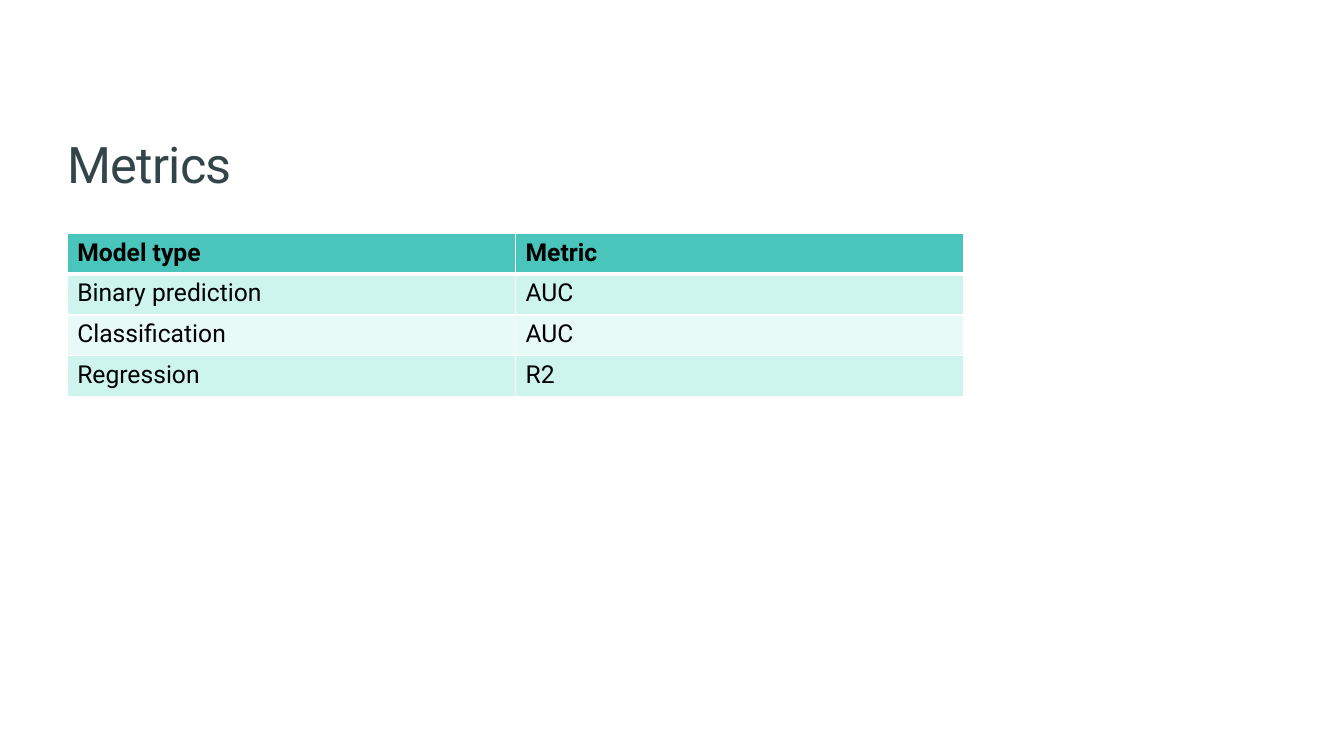
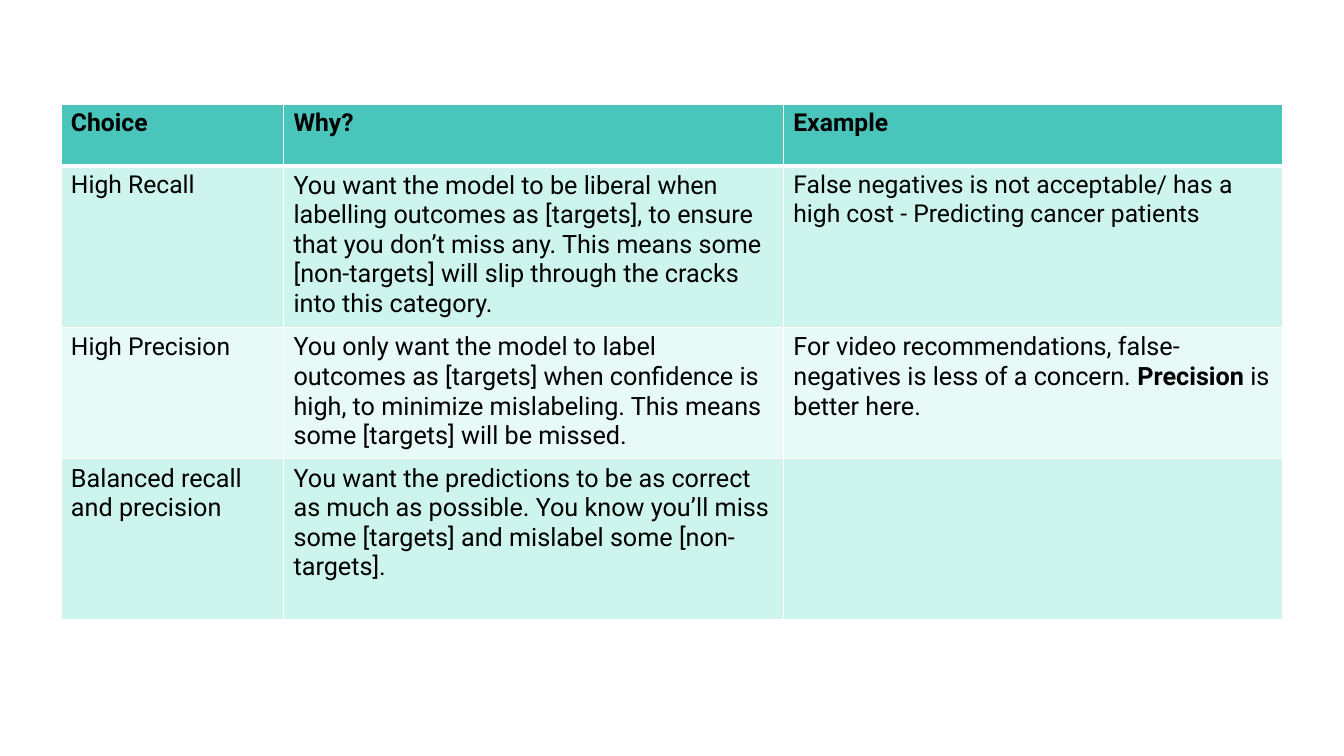
from lxml import etree
from pptx import Presentation
from pptx.dml.color import RGBColor
from pptx.enum.text import MSO_ANCHOR, MSO_AUTO_SIZE, PP_ALIGN
from pptx.oxml.ns import qn
from pptx.util import Pt

LEFT, BOTTOM = PP_ALIGN.LEFT, MSO_ANCHOR.BOTTOM
GROW = MSO_AUTO_SIZE.SHAPE_TO_FIT_TEXT
TITLE_ONLY, BLANK = 5, 6
EMU_PER_PX = 9525


def px(length):
    """Turn whole pixels into EMU."""
    return length * EMU_PER_PX


def apply_format(target, values):
    """Set each attribute named in values on target."""
    for name, value in values.items():
        setattr(target, name, value)


class Deck:
    """Holds the shared style and the current slide."""

    COLORS = {
        "title": "324649",
        "text": "000000",
        "header": "4AC5BB",
        "odd_row": "CDF5EE",
        "even_row": "E8FAF7",
        "rule": "FFFFFF",
    }
    TITLE_FONT = {"name": "Roboto", "size": Pt(36), "bold": False}
    CELL_FONT = {"name": "Roboto", "size": Pt(17.6), "bold": False}
    TITLE_FRAME = {
        "margin_left": 0, "margin_top": 0, "margin_right": 0, "margin_bottom": 0,
        "vertical_anchor": BOTTOM, "word_wrap": True, "auto_size": GROW,
    }
    TITLE_PARAGRAPH = {"alignment": LEFT, "line_spacing": 0.9}

    def __init__(self):
        """Open an empty presentation."""
        self.presentation = Presentation()
        apply_format(self.presentation,
                     {"slide_width": px(1280), "slide_height": px(720)})
        self.slide = None

    def add_slide(self, layout):
        """Start a new slide."""
        layouts = self.presentation.slide_layouts
        self.slide = self.presentation.slides.add_slide(layouts[layout])

    def color(self, name):
        """Look up a named colour."""
        return RGBColor.from_string(self.COLORS[name])

    def styled_run(self, paragraph, text, font, color):
        """Append a formatted run to a paragraph."""
        run = paragraph.add_run()
        run.text = text
        apply_format(run.font, font)
        run.font.color.rgb = self.color(color)
        return run

    def title(self, text, left, top, width, height):
        """Place and fill the title placeholder."""
        heading = self.slide.shapes.title
        apply_format(heading, {"left": px(left), "top": px(top),
                               "width": px(width), "height": px(height)})
        apply_format(heading.text_frame, self.TITLE_FRAME)
        paragraph = heading.text_frame.paragraphs[0]
        apply_format(paragraph, self.TITLE_PARAGRAPH)
        run = self.styled_run(paragraph, text, self.TITLE_FONT, "title")
        run._r.get_or_add_rPr().set("spc", "-50")

    def borders(self, cell, widths):
        """Draw cell edges, given in points by edge letter."""
        properties = cell._tc.get_or_add_tcPr()
        for position, (edge, width) in enumerate(widths.items()):
            line = etree.Element(qn(f"a:ln{edge}"), w=str(Pt(width)))
            fill = etree.SubElement(line, qn("a:solidFill"))
            etree.SubElement(fill, qn("a:srgbClr"), val=self.COLORS["rule"])
            properties.insert(position, line)

    def table(self, left, top, widths, heights, rows):
        """Add a table with a header row and alternating bands."""
        frame = self.slide.shapes.add_table(
            len(rows), len(widths), px(left), px(top),
            px(sum(widths)), px(sum(heights)))
        grid = frame.table
        grid.horz_banding = False
        for column, width in zip(grid.columns, widths):
            column.width = px(width)
        for index, (row, height, contents) in enumerate(zip(grid.rows, heights, rows)):
            row.height = px(height)
            is_header = index == 0
            band = "header" if is_header else "odd_row" if index % 2 else "even_row"
            edges = {"L": 1, "R": 1, "T": 1, "B": 3} if is_header else {"L": 1, "R": 1, "B": 1}
            for cell, content in zip(row.cells, contents):
                cell.fill.solid()
                cell.fill.fore_color.rgb = self.color(band)
                self.borders(cell, edges)
                runs = [(content, {})] if isinstance(content, str) else content
                for text, changes in runs:
                    font = {**self.CELL_FONT, "bold": is_header, **changes}
                    self.styled_run(cell.text_frame.paragraphs[0], text, font, "text")


LARGE = {"size": Pt(18)}
METRICS = [
    ("Model type", "Metric"),
    ("Binary prediction", "AUC"),
    ("Classification", "AUC"),
    ("Regression", "R2"),
]
CHOICES = [
    ("Choice", "Why?", "Example"),
    ("High Recall",
     [("You want the model to be liberal when labelling outcomes as [targets], "
       "to ensure that you don’t miss any. This means some [non-targets] will "
       "slip through the cracks into this category.", LARGE)],
     "False negatives is not acceptable/ has a high cost - Predicting cancer patients"),
    ("High Precision",
     [("You only want the model to label outcomes as [targets] when confidence "
       "is high, to minimize mislabeling. This means some [targets] will be "
       "missed.", LARGE)],
     [("For video recommendations, false-negatives is less of a concern. ", LARGE),
      ("Precision", {**LARGE, "bold": True}),
      (" is better here.", LARGE)]),
    ([("Balanced recall and precision", LARGE)],
     [("You want the predictions to be as correct as much as possible. You know "
       "you’ll miss some [targets] and mislabel some [non-targets].", LARGE)],
     []),
]


def main():
    """Build and save the slides."""
    deck = Deck()
    deck.add_slide(TITLE_ONLY)
    deck.table(64, 222, [427] * 2, [39] * 4, METRICS)
    deck.title("Metrics", 64, 132, 1027, 53)
    deck.add_slide(BLANK)
    deck.table(58, 99, [212, 476, 476], [59, 154, 125, 153], CHOICES)
    deck.presentation.save("out.pptx")


if __name__ == "__main__":
    main()
